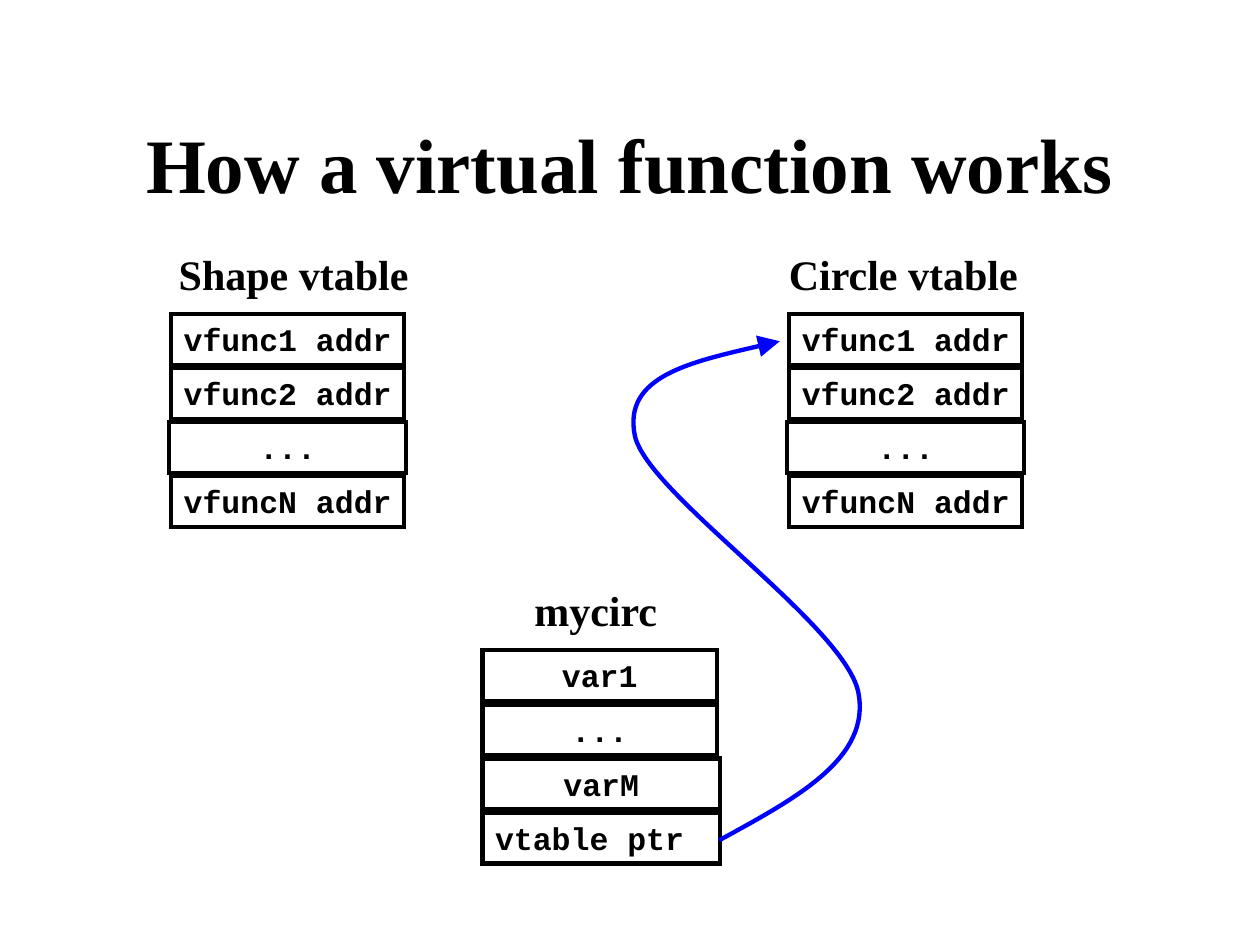
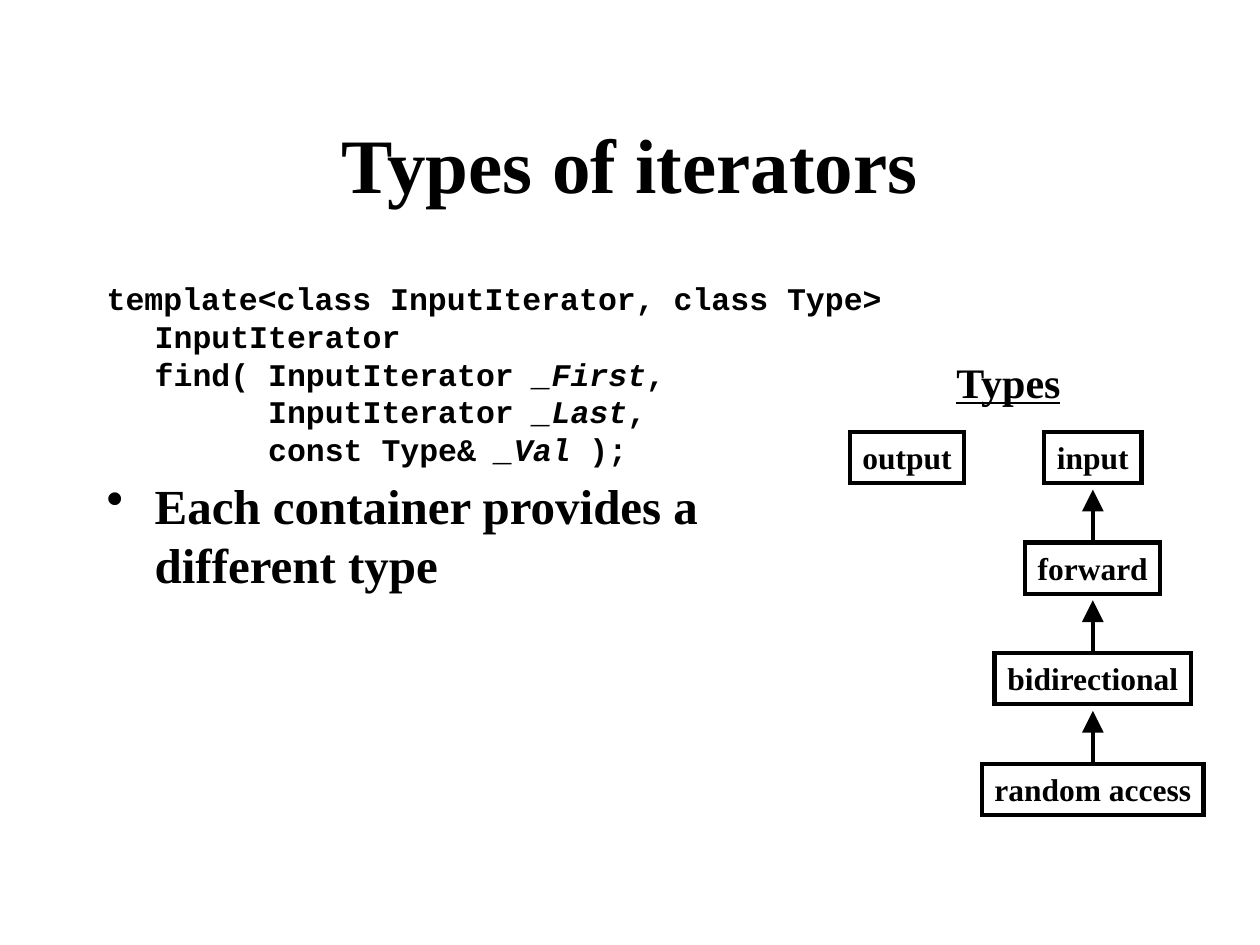
from lxml import etree
from pptx import Presentation
from pptx import util as u
from pptx.dml import color as c
from pptx.enum import shapes, text
from pptx.oxml import ns

BLACK = "000000"
BLUE = "0000FF"
SERIF = "Times New Roman"
MONO = "Courier New"
LINE_WIDTH = 2.5
CELL_HEIGHT = 1.03
CELL_PITCH = 1.09
HEADING_RISE = 1.45
HEADING_WIDTH = 6
ITERATOR_PITCH = 2.23
ARROW_GAP = 0.13
HANGING_INDENT = 0.97

TABLE_ROWS = ["vfunc1 addr", "vfunc2 addr", "...", "vfuncN addr"]
CODE_LINES = [
    ["template<class InputIterator, class Type>"],
    ["InputIterator"],
    ["find( InputIterator ", "_First", ","],
    ["      InputIterator ", "_Last", ","],
    ["      const Type& ", "_Val", " );"],
]
ITERATOR_CHAIN = [("input", 1.96), ("forward", 2.72),
                  ("bidirectional", 3.96), ("random access", 4.47)]
POINTER_CURVE = [
    (14.5, 16.94),
    (16.03, 16.1), (17.58, 15.29), (17.3, 13.94),
    (16.99, 12.57), (13.06, 9.96), (12.8, 8.79),
    (12.55, 7.59), (14.15, 7.24), (15.72, 6.88),
]


def rgb(value):
    """Turn a hex string into a colour."""
    return c.RGBColor.from_string(value)


def format_runs(paragraph, size, font):
    """Give every run of a paragraph the bold black style."""
    for run in paragraph.runs:
        run.font.size = u.Pt(size)
        run.font.name = font
        run.font.bold = True
        run.font.color.rgb = rgb(BLACK)


def fill_frame(frame, content, size, font, centred=True, wrap=False):
    """Put one styled paragraph into a text frame."""
    frame.text = content
    frame.word_wrap = wrap
    frame.vertical_anchor = text.MSO_ANCHOR.TOP
    paragraph = frame.paragraphs[0]
    paragraph.alignment = text.PP_ALIGN.CENTER if centred else text.PP_ALIGN.LEFT
    format_runs(paragraph, size, font)


def style_line(shape, color):
    """Set the colour, the common width and sharp corners of a line."""
    shape.line.color.rgb = rgb(color)
    shape.line.width = u.Pt(LINE_WIDTH)
    line = shape.line._get_or_add_ln()
    etree.SubElement(line, ns.qn("a:miter"), lim="800000")


def add_arrowhead(shape):
    """Put a large triangle at the end of a line."""
    line = shape.line._get_or_add_ln()
    etree.SubElement(line, ns.qn("a:tailEnd"), type="triangle", w="lg", len="lg")


def add_title(slide, content):
    """Add the slide title."""
    box = slide.shapes.add_textbox(u.Cm(1.9), u.Cm(1.7), u.Cm(21.6), u.Cm(3.18))
    fill_frame(box.text_frame, content, 44, SERIF, wrap=True)
    box.text_frame.vertical_anchor = text.MSO_ANCHOR.MIDDLE


def add_heading(slide, content, centre, top):
    """Add a diagram heading around a centre and return its box."""
    box = slide.shapes.add_textbox(
        u.Cm(centre - HEADING_WIDTH / 2), u.Cm(top), u.Cm(HEADING_WIDTH), u.Cm(1.27))
    fill_frame(box.text_frame, content, 24, SERIF)
    return box


def add_cell(slide, content, left, top, width, font, centred=True):
    """Add an outlined box with a label."""
    cell = slide.shapes.add_shape(
        shapes.MSO_SHAPE.RECTANGLE,
        u.Cm(left), u.Cm(top), u.Cm(width), u.Cm(CELL_HEIGHT))
    cell.shadow.inherit = False
    cell.fill.background()
    style_line(cell, BLACK)
    fill_frame(cell.text_frame, content, 18, font, centred, wrap=not centred)
    return cell


def add_vtable(slide, name, name_centre, centre, top):
    """Add a named stack of function addresses."""
    add_heading(slide, name, name_centre, top - HEADING_RISE)
    for row, label in enumerate(TABLE_ROWS):
        width = 4.78 if label == "..." else 4.7
        add_cell(slide, label, centre - width / 2, top + row * CELL_PITCH, width, MONO)


def add_object(slide, name, left, top):
    """Add the memory layout of an object."""
    add_heading(slide, name, 12.01, top - HEADING_RISE)
    members = [("var1", 4.72), ("...", 4.72), ("varM", 4.78), ("vtable ptr", 4.78)]
    for row, (label, width) in enumerate(members):
        add_cell(slide, label, left, top + row * CELL_PITCH, width, MONO,
                 centred=label != "vtable ptr")


def add_curved_arrow(slide, points, color):
    """Draw an arrow along cubic curves, three points for each."""
    start, *rest = [(u.Cm(x), u.Cm(y)) for x, y in points]
    builder = slide.shapes.build_freeform(*start)
    builder.add_line_segments(rest, close=False)
    curve = builder.convert_to_shape()
    curve.shadow.inherit = False
    curve.fill.background()
    style_line(curve, color)
    add_arrowhead(curve)
    outline = next(curve._element.iter(ns.qn("a:path")))
    segments = outline.findall(ns.qn("a:lnTo"))
    for first in range(0, len(segments), 3):
        cubic = etree.SubElement(outline, ns.qn("a:cubicBezTo"))
        for segment in segments[first:first + 3]:
            cubic.append(segment[0])
            outline.remove(segment)


def add_up_arrow(slide, lower, upper):
    """Draw an arrow from the top of one box towards the box above."""
    centre = lower.left + lower.width // 2
    arrow = slide.shapes.add_connector(
        shapes.MSO_CONNECTOR.STRAIGHT, centre, lower.top,
        centre, upper.top + upper.height + u.Cm(ARROW_GAP))
    arrow.begin_connect(lower, 0)
    style_line(arrow, BLACK)
    add_arrowhead(arrow)
    etree.SubElement(arrow._element.spPr, ns.qn("a:effectLst"))


def indent_paragraph(paragraph, bullet=None):
    """Set a hanging indent with an optional bullet."""
    properties = paragraph._p.get_or_add_pPr()
    properties.set("marL", str(u.Cm(HANGING_INDENT)))
    properties.set("indent", str(-u.Cm(HANGING_INDENT)))
    if bullet:
        color = etree.SubElement(properties, ns.qn("a:buClr"))
        etree.SubElement(color, ns.qn("a:srgbClr"), val=BLACK)
        etree.SubElement(properties, ns.qn("a:buChar"), char=bullet)


def add_body(slide):
    """Add the declaration and the bullet below it."""
    box = slide.shapes.add_textbox(u.Cm(1.9), u.Cm(5.5), u.Cm(21.6), u.Cm(11.43))
    frame = box.text_frame
    frame.word_wrap = True
    code = frame.paragraphs[0]
    indent_paragraph(code)
    for number, pieces in enumerate(CODE_LINES):
        if number:
            code.add_line_break()
        for piece in pieces:
            run = code.add_run()
            run.text = piece
            run.font.italic = piece.startswith("_")
    format_runs(code, 18, MONO)
    point = frame.add_paragraph()
    point.text = "Each container provides a\vdifferent type"
    indent_paragraph(point, "•")
    point.space_before = u.Pt(4.5)
    format_runs(point, 28, SERIF)


def add_iterator_types(slide, centre, top):
    """Add the chain of iterator types with its heading."""
    heading = add_heading(slide, "Types", 20.33, top - 1.65)
    heading.text_frame.paragraphs[0].runs[0].font.underline = True
    add_cell(slide, "output", 17.13, top, 2.31, SERIF)
    boxes = [
        add_cell(slide, label, centre - width / 2, top + row * ITERATOR_PITCH, width, SERIF)
        for row, (label, width) in enumerate(ITERATOR_CHAIN)
    ]
    for upper, lower in zip(boxes, boxes[1:]):
        add_up_arrow(slide, lower, upper)


def add_slide(presentation, title):
    """Add a blank slide with a title."""
    slide = presentation.slides.add_slide(presentation.slide_layouts[6])
    add_title(slide, title)
    return slide


def main():
    """Build both slides and save them."""
    presentation = Presentation()
    presentation.slide_width = u.Cm(25.4)
    presentation.slide_height = u.Cm(19.05)

    slide = add_slide(presentation, "How a virtual function works")
    add_vtable(slide, "Shape vtable", 5.92, 5.8, 6.33)
    add_vtable(slide, "Circle vtable", 18.21, 18.26, 6.33)
    add_object(slide, "mycirc", 9.73, 13.11)
    add_curved_arrow(slide, POINTER_CURVE, BLUE)

    slide = add_slide(presentation, "Types of iterators")
    add_body(slide)
    add_iterator_types(slide, 22.03, 8.71)

    presentation.save("out.pptx")


if __name__ == "__main__":
    main()
